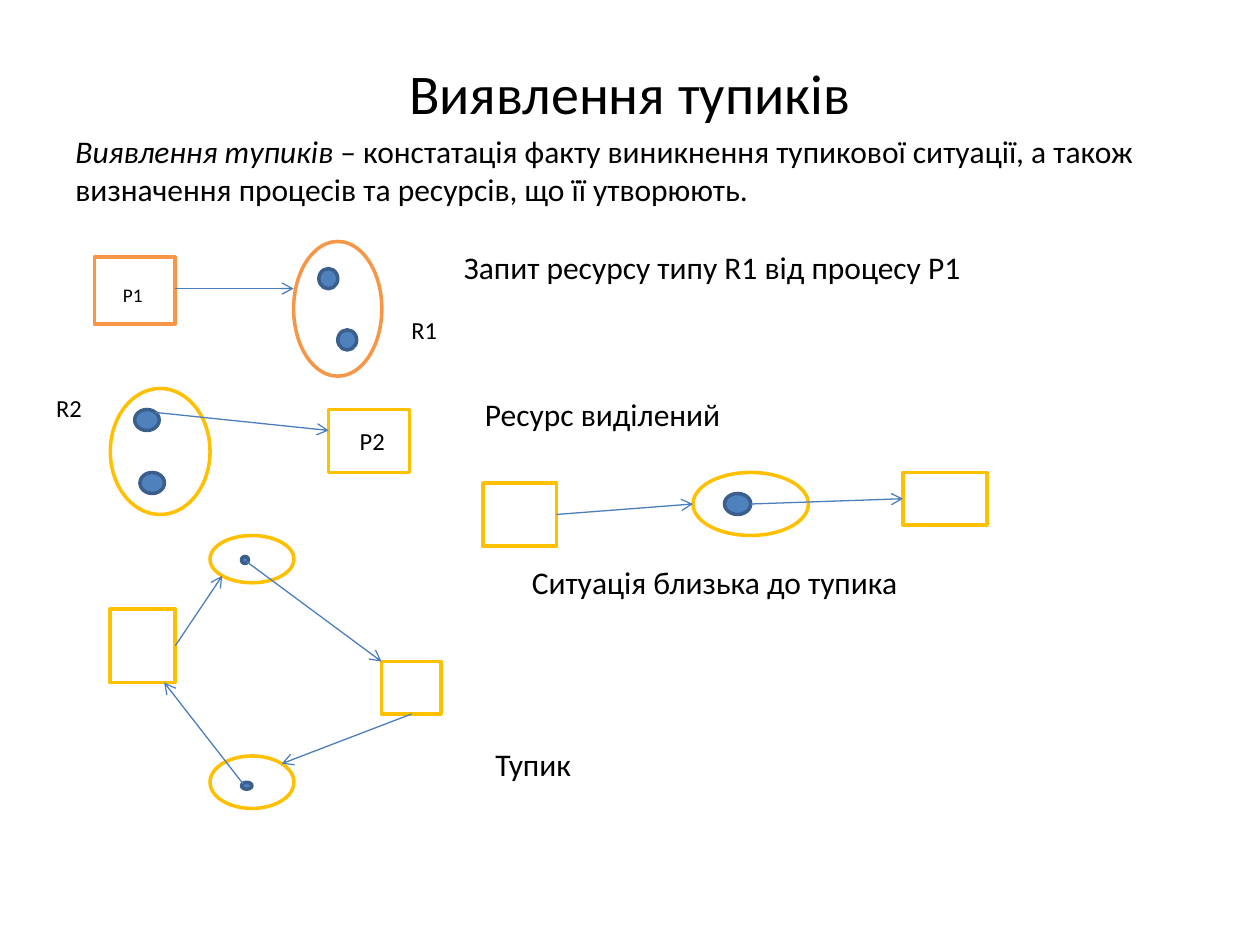
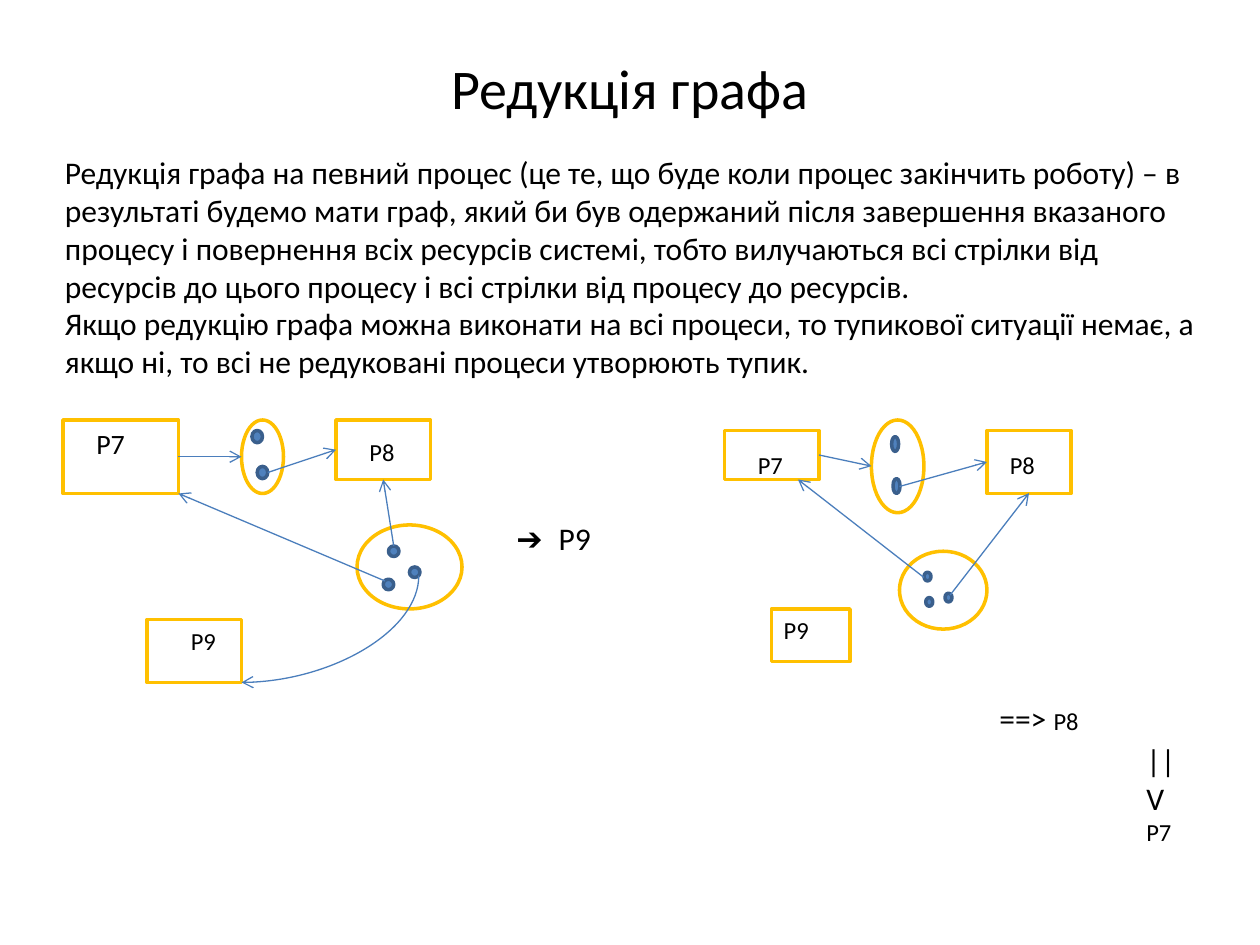
from dataclasses import dataclass

from lxml import etree
from pptx import Presentation
from pptx.dml.color import RGBColor
from pptx.enum.shapes import MSO_CONNECTOR, MSO_SHAPE
from pptx.enum.text import MSO_ANCHOR, MSO_AUTO_SIZE, PP_ALIGN
from pptx.oxml.ns import qn
from pptx.util import Pt

RECTANGLE = MSO_SHAPE.RECTANGLE
OVAL = MSO_SHAPE.OVAL
STRAIGHT = MSO_CONNECTOR.STRAIGHT
CURVE = MSO_CONNECTOR.CURVE
LEFT = PP_ALIGN.LEFT
CENTER = PP_ALIGN.CENTER
TOP = MSO_ANCHOR.TOP
MIDDLE = MSO_ANCHOR.MIDDLE
NO_FIT = MSO_AUTO_SIZE.NONE
GROW = MSO_AUTO_SIZE.SHAPE_TO_FIT_TEXT


@dataclass(frozen=True)
class Theme:
    """Colours, type sizes and line widths shared by the slides."""

    font: str = "Calibri"
    ink: str = "000000"
    paper: str = "FFFFFF"
    request: str = "F79646"
    node: str = "FFC000"
    unit: str = "4F81BD"
    unit_edge: str = "3A5F8C"
    arrow: str = "4B7EBC"
    title: int = 32
    body: int = 18
    large_label: int = 16
    label: int = 14
    small_label: int = 11
    outline: float = 2
    arrow_width: float = 0.75


THEME = Theme()


def colour(code):
    """Turn a hex code into a colour."""
    return RGBColor.from_string(code)


def fill_text(frame, text, size=THEME.body, align=LEFT, anchor=TOP, fit=GROW,
              spacing=None, after=None):
    """Write paragraphs, each a string or a list of (words, format) runs."""
    frame.word_wrap = True
    frame.auto_size = fit
    frame.vertical_anchor = anchor
    paragraphs = [text] if isinstance(text, str) else text
    for index, content in enumerate(paragraphs):
        paragraph = frame.add_paragraph() if index else frame.paragraphs[0]
        paragraph.alignment = align
        if spacing:
            paragraph.line_spacing = spacing
        if after:
            paragraph.space_after = Pt(after)
        runs = [(content, {})] if isinstance(content, str) else content
        for words, look in runs:
            run = paragraph.add_run()
            run.text = words
            run.font.name = THEME.font
            run.font.size = Pt(look.get("size", size))
            run.font.italic = look.get("italic", False)
            run.font.color.rgb = colour(THEME.ink)


def add_text(canvas, box, text, **look):
    """Add a text box."""
    caption = canvas.add_textbox(*map(Pt, box))
    fill_text(caption.text_frame, text, **look)


def add_title(canvas, text, height):
    """Add the slide title."""
    add_text(canvas, (36, 21.6, 648, height), text, size=THEME.title,
             align=CENTER, anchor=MIDDLE, fit=NO_FIT)


def add_node(canvas, kind, box, edge=THEME.node, fill=None):
    """Add an outlined shape, hollow unless a fill is given."""
    node = canvas.add_shape(kind, *map(Pt, box))
    node.shadow.inherit = False
    if fill:
        node.fill.solid()
        node.fill.fore_color.rgb = colour(fill)
    else:
        node.fill.background()
    if edge:
        node.line.color.rgb = colour(edge)
        node.line.width = Pt(THEME.outline)
    else:
        node.line.fill.background()
    return node


def add_processes(canvas, *boxes):
    """Add the rectangles that stand for processes."""
    for box in boxes:
        add_node(canvas, RECTANGLE, box)


def add_resource(canvas, box, unit_size, *corners, **look):
    """Add a resource oval with its units at the given corners."""
    add_node(canvas, OVAL, box, **look)
    for corner in corners:
        add_node(canvas, OVAL, (*corner, *unit_size), THEME.unit_edge, THEME.unit)


def add_arrow(canvas, start, end, kind=STRAIGHT):
    """Add a connector with an open arrowhead at its end."""
    arrow = canvas.add_connector(kind, *map(Pt, (*start, *end)))
    arrow.line.color.rgb = colour(THEME.arrow)
    arrow.line.width = Pt(THEME.arrow_width)
    properties = arrow.element.spPr
    etree.SubElement(properties.find(qn("a:ln")), qn("a:tailEnd"), type="arrow")
    etree.SubElement(properties, qn("a:effectLst"))
    return arrow


def add_arrows(canvas, *routes):
    """Add a straight arrow for each (start, end) pair."""
    for start, end in routes:
        add_arrow(canvas, start, end)


def add_quarter_arrow(canvas, start, end):
    """Add an arrow that leaves downwards and bends left to its end."""
    middle_x, middle_y = (start[0] + end[0]) / 2, (start[1] + end[1]) / 2
    half_width, half_height = (end[1] - start[1]) / 2, (start[0] - end[0]) / 2
    arrow = add_arrow(canvas, (middle_x - half_width, middle_y - half_height),
                      (middle_x + half_width, middle_y + half_height), CURVE)
    properties = arrow.element.spPr
    properties.find(qn("a:xfrm")).set("rot", "5400000")
    properties.find(qn("a:prstGeom")).set("prst", "curvedConnector2")


def draw_request(canvas):
    """Draw process P1 asking for resource R1."""
    group = canvas.add_group_shape().shapes
    look = {"edge": THEME.request, "fill": THEME.paper}
    add_node(group, RECTANGLE, (54, 147, 46.2, 38.3), **look)
    add_resource(group, (167.8, 138, 50.4, 77), (10.8, 11.5),
                 (182.2, 153.5), (193, 188.5), **look)
    add_arrow(group, (100.2, 164.9), (167.8, 164.9))
    name = add_node(group, RECTANGLE, (63.2, 156.3, 27.5, 20), None, THEME.paper)
    fill_text(name.text_frame, "P1", size=THEME.small_label, fit=NO_FIT,
              spacing=1.15, after=10)
    add_text(canvas, (258, 138, 348, 29), "Запит ресурсу типу R1 від процесу P1")
    add_text(canvas, (228, 176.5, 36, 24.3), "R1", size=THEME.label)


def draw_allocation(canvas):
    """Draw resource R2 given to process P2."""
    add_resource(canvas, (63, 222, 57, 72), (14, 12), (77, 234), (80, 270))
    add_processes(canvas, (187.8, 234, 46.2, 36))
    add_text(canvas, (198.5, 240, 41, 24.3), "P2", size=THEME.label)
    add_text(canvas, (25, 221, 30.2, 24.3), "R2", size=THEME.label)
    add_arrow(canvas, (88.8, 235.7), (187.8, 246))
    add_text(canvas, (270, 222, 180, 29), "Ресурс виділений")


def draw_near_deadlock(canvas):
    """Draw one process waiting for a resource held by another."""
    add_processes(canvas, (276, 276, 42, 36), (516, 270, 48, 30))
    add_resource(canvas, (396, 270, 66, 36), (15, 12), (414, 282))
    add_arrows(canvas, ((318, 294), (396, 288)), ((429, 288), (516, 285)))
    add_text(canvas, (296.8, 318, 273, 30), "Ситуація близька до тупика")


def draw_deadlock(canvas):
    """Draw the closed ring of two processes and two resources."""
    add_processes(canvas, (63, 348, 37.2, 42), (218, 378, 34, 30))
    add_resource(canvas, (120, 306, 48, 27), (4, 4), (138, 318))
    add_resource(canvas, (120, 432, 48, 30), (6, 4), (138, 447))
    add_arrows(canvas,
               ((100.2, 369), (127, 329)), ((141, 321), (218, 378)),
               ((235.2, 408), (161, 436.4)), ((139, 448), (93.8, 390)))
    add_text(canvas, (276, 422, 138, 29), "Тупик")


def draw_full_graph(canvas):
    """Draw the graph before reduction."""
    add_processes(canvas, (36, 240, 66, 42), (192, 240, 54, 34), (84, 354, 54, 36))
    add_text(canvas, (48, 240, 36, 26.6), "Р7", size=THEME.large_label)
    add_text(canvas, (204, 246, 30, 24.3), "Р8", size=THEME.label)
    add_text(canvas, (102, 354, 30, 24.3), "Р9", size=THEME.label)
    add_resource(canvas, (138, 240, 24, 42), (6, 7), (144, 246), (147, 266.5))
    add_resource(canvas, (204, 300, 60, 48), (6, 6),
                 (219, 331), (234, 324), (222, 312))
    add_arrows(canvas,
               ((102, 261), (138, 261)), ((153, 270), (192, 257)),
               ((225, 312), (219, 274)), ((220, 332), (102, 282)))
    add_quarter_arrow(canvas, (239.3, 329), (138, 390))


def draw_reduced_graph(canvas):
    """Draw the graph after reduction by P9."""
    add_processes(canvas, (414, 246, 54, 28), (564, 246, 48, 36),
                  (440.8, 348, 45, 30))
    for name, left, top, width in (("P7", 426, 253.5, 30), ("P8", 570, 253.5, 36),
                                   ("P9", 440.8, 348, 39)):
        add_text(canvas, (left, top, width, 24.3), name, size=THEME.label)
    add_resource(canvas, (498, 240, 30, 53), (4, 8.5), (509.5, 249.5), (510.3, 273.5))
    add_resource(canvas, (514, 315, 50, 44.5), (4, 5),
                 (529, 341.5), (540, 339), (528, 327))
    add_arrows(canvas,
               ((468, 260), (498, 266.4)), ((514, 278), (564, 264)),
               ((543, 340), (588, 281.8)), ((528, 330), (456, 274)))


def build_detection(canvas):
    """Build the slide on detecting deadlocks."""
    add_title(canvas, "Виявлення тупиків", 62.6)
    add_text(canvas, (36, 72, 666, 51), [[
        ("Виявлення тупиків", {"italic": True}),
        (" – констатація факту виникнення тупикової ситуації, а також "
         "визначення процесів та ресурсів, що її утворюють.", {})]])
    draw_request(canvas)
    draw_allocation(canvas)
    draw_near_deadlock(canvas)
    draw_deadlock(canvas)


def build_reduction(canvas):
    """Build the slide on reducing the graph."""
    small = {"size": THEME.label}
    add_title(canvas, "Редукція графа", 56.2)
    add_text(canvas, (30, 84, 660, 138), [
        "Редукція графа на певний процес (це те, що буде коли процес закінчить "
        "роботу) – в результаті будемо мати граф, який би був одержаний після "
        "завершення вказаного процесу і повернення всіх ресурсів системі, тобто "
        "вилучаються всі стрілки від ресурсів до цього процесу і всі стрілки "
        "від процесу до ресурсів.",
        "Якщо редукцію графа можна виконати на всі процеси, то тупикової "
        "ситуації немає, а якщо ні, то всі не редуковані процеси утворюють тупик."])
    draw_full_graph(canvas)
    add_text(canvas, (288, 293, 84, 29), "➔\u2002P9")
    draw_reduced_graph(canvas)
    add_text(canvas, (564, 396, 72, 30), [[("==> ", {}), ("P8", small)]])
    add_text(canvas, (648, 420, 42, 67.7), ["||", "V", [("P7", small)]])


def main():
    """Build both slides and save the presentation."""
    deck = Presentation()
    deck.slide_width, deck.slide_height = Pt(720), Pt(540)
    blank = deck.slide_layouts[6]
    for build in (build_detection, build_reduction):
        build(deck.slides.add_slide(blank).shapes)
    deck.save("out.pptx")


main()
